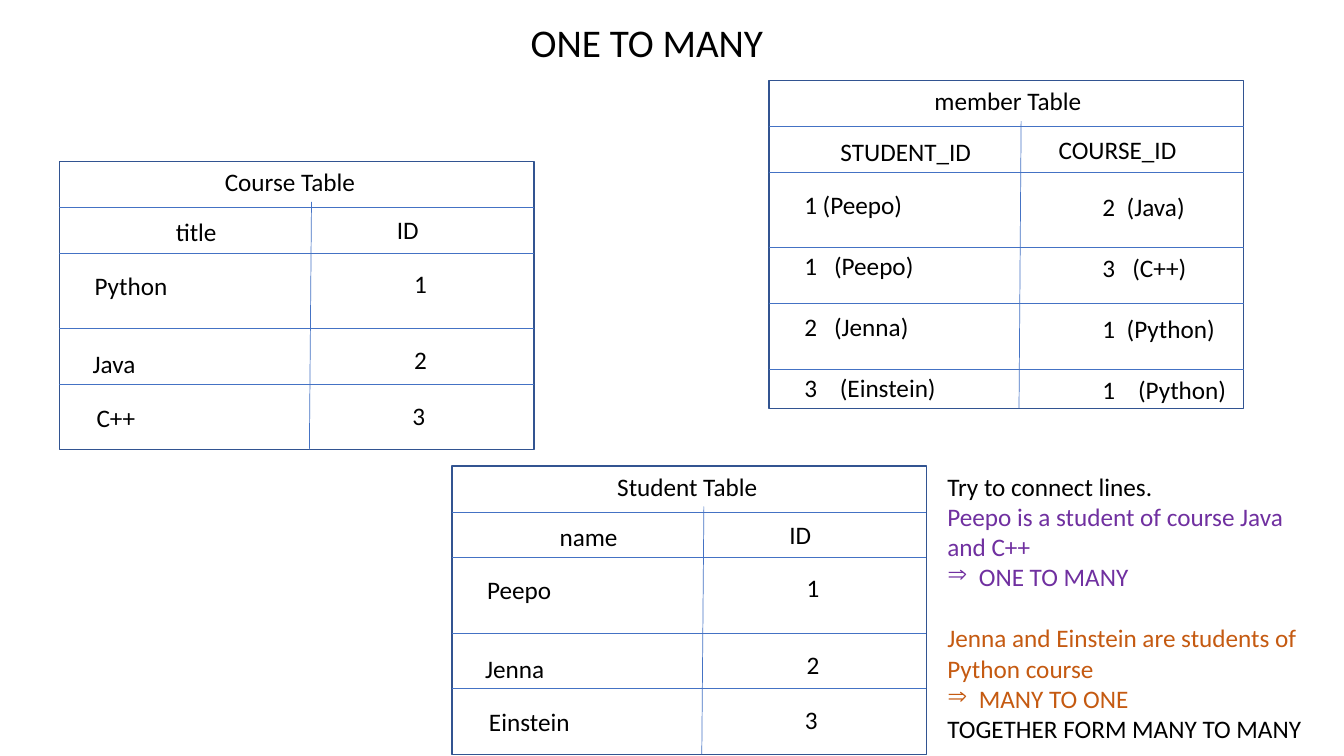
from dataclasses import dataclass

from lxml import etree
from pptx import Presentation
from pptx.dml.color import RGBColor
from pptx.enum.shapes import MSO_CONNECTOR, MSO_SHAPE
from pptx.enum.text import MSO_AUTO_SIZE, PP_ALIGN
from pptx.oxml.ns import qn
from pptx.util import Pt

RECT = MSO_SHAPE.RECTANGLE
STRAIGHT = MSO_CONNECTOR.STRAIGHT
GROW = MSO_AUTO_SIZE.SHAPE_TO_FIT_TEXT
LEFT, CENTER = PP_ALIGN.LEFT, PP_ALIGN.CENTER


@dataclass(frozen=True)
class Theme:
    font: str = "Calibri"
    title: int = 28
    body: int = 18
    gap: int = 22
    ink: str = "000000"
    frame: str = "325491"
    rule: str = "4472C4"
    purple: str = "7030A0"
    orange: str = "C55A11"


@dataclass(frozen=True)
class Para:
    """One paragraph; tab is the stop after an ID, in points."""
    text: str
    color: str = Theme.ink
    before: float = 0
    tab: float = 0
    bullet: str = ""


class Board:
    width, height = 339, 206
    head, mid = 33, 65.5

    def __init__(self, slide, theme):
        self.shapes = slide.shapes
        self.theme = theme

    def text(self, x, y, w, h, paras, size=None, align=LEFT):
        box = self.shapes.add_textbox(Pt(x), Pt(y), Pt(w), Pt(h))
        frame = box.text_frame
        frame.word_wrap = True
        frame.auto_size = GROW
        for i, item in enumerate(paras):
            para = frame.add_paragraph() if i else frame.paragraphs[0]
            para.text = item.text
            para.alignment = align
            if item.before:
                para.space_before = Pt(item.before)
            self.indent(para, item)
            for run in para.runs:
                run.font.name = self.theme.font
                run.font.size = Pt(size or self.theme.body)
                run.font.color.rgb = RGBColor.from_string(item.color)

    def indent(self, para, item):
        """Add the bullet or the tab stop that the paragraph asks for."""
        props = para._p.get_or_add_pPr()
        if item.bullet:
            props.set("marL", str(Pt(22.5)))
            props.set("indent", str(Pt(-22.5)))
            etree.SubElement(props, qn("a:buChar"), char=item.bullet)
        if item.tab:
            tabs = etree.SubElement(props, qn("a:tabLst"))
            etree.SubElement(tabs, qn("a:tab"), pos=str(Pt(item.tab)), algn="l")

    def line(self, x1, y1, x2, y2):
        rule = self.shapes.add_connector(STRAIGHT, Pt(x1), Pt(y1), Pt(x2), Pt(y2))
        rule.line.color.rgb = RGBColor.from_string(self.theme.rule)
        rule.line.width = Pt(0.5)
        etree.SubElement(rule._element.spPr, qn("a:effectLst"))

    def grid(self, x, y, name, heads, rows, height=height):
        """Draw a frame with a title, two headings and row rules at offsets."""
        rect = self.shapes.add_shape(RECT, Pt(x), Pt(y), Pt(self.width), Pt(height))
        rect.shadow.inherit = False
        rect.fill.background()
        rect.line.color.rgb = RGBColor.from_string(self.theme.frame)
        rect.line.width = Pt(1)
        for dy in (self.head, self.mid, *rows):
            self.line(x, y + dy, x + self.width, y + dy)
        self.line(x + 180, y + 29, x + 178.5, y + height)
        self.text(x + 111, y, 139, 29, [Para(name)])
        for head, dx, dy in zip(heads, (16.6, 167.8), (36, 34.6)):
            self.text(x + dx, y + dy, 162, 29, [Para(head)], align=CENTER)

    def list(self, x, y, name, heads, items):
        """Draw a grid of three names with IDs counted from 1."""
        self.grid(x, y, name, heads, (119.5, 159))
        spots = ((18, 74.2, 246.2, 72.7), (16.6, 130.3, 246.2, 127.4),
                 (19.4, 168.5, 245, 167))
        for num, (item, (nx, ny, ix, iy)) in enumerate(zip(items, spots), 1):
            self.text(x + nx, y + ny, 162, 29, [Para(item)])
            self.text(x + ix, y + iy, 162, 29, [Para(str(num))])

    def column(self, x, y, rows):
        """Stack ID and name pairs, one empty line's height apart."""
        paras = [Para(text, before=self.theme.gap if i else 0, tab=tab)
                 for i, (text, tab) in enumerate(rows)]
        self.text(x, y, 162, 160, paras)


def main():
    deck = Presentation()
    deck.slide_width, deck.slide_height = Pt(960), Pt(540)
    theme = Theme()
    board = Board(deck.slides.add_slide(deck.slide_layouts[6]), theme)

    board.text(372, 9.4, 438.5, 41, [Para("ONE TO MANY")], theme.title)
    board.list(42.5, 115.2, "Course Table", ("title", "ID"),
               ("Python", "Java", "C++"))

    x, y = 549.4, 57.6
    board.grid(x, y, "member Table", ("STUDENT_ID", "COURSE_ID"),
               (119, 159, 206), 234)
    board.column(x + 18, y + 74.2, (
        ("1 (Peepo)", 0), ("1\t(Peepo)", 21.3),
        ("2\t(Jenna)", 21.3), ("3\t(Einstein)", 25.4)))
    board.column(x + 231, y + 75.6, (
        ("2\t(Java)", 17.3), ("3\t(C++)", 21.3),
        ("1\t(Python)", 17.3), ("1\t(Python)", 25.4)))

    board.list(322.8, 332.8, "Student Table", ("name", "ID"),
               ("Peepo", "Jenna", "Einstein"))
    board.text(669.6, 332.8, 273, 204, [
        Para("Try to connect lines."),
        Para("Peepo is a student of course Java and C++", theme.purple),
        Para("ONE TO MANY", theme.purple, bullet="⇒"),
        Para("Jenna and Einstein are students of Python course",
             theme.orange, before=theme.gap),
        Para("MANY TO ONE", theme.orange, bullet="⇒"),
        Para("TOGETHER FORM MANY TO MANY")])

    deck.save("out.pptx")


if __name__ == "__main__":
    main()
